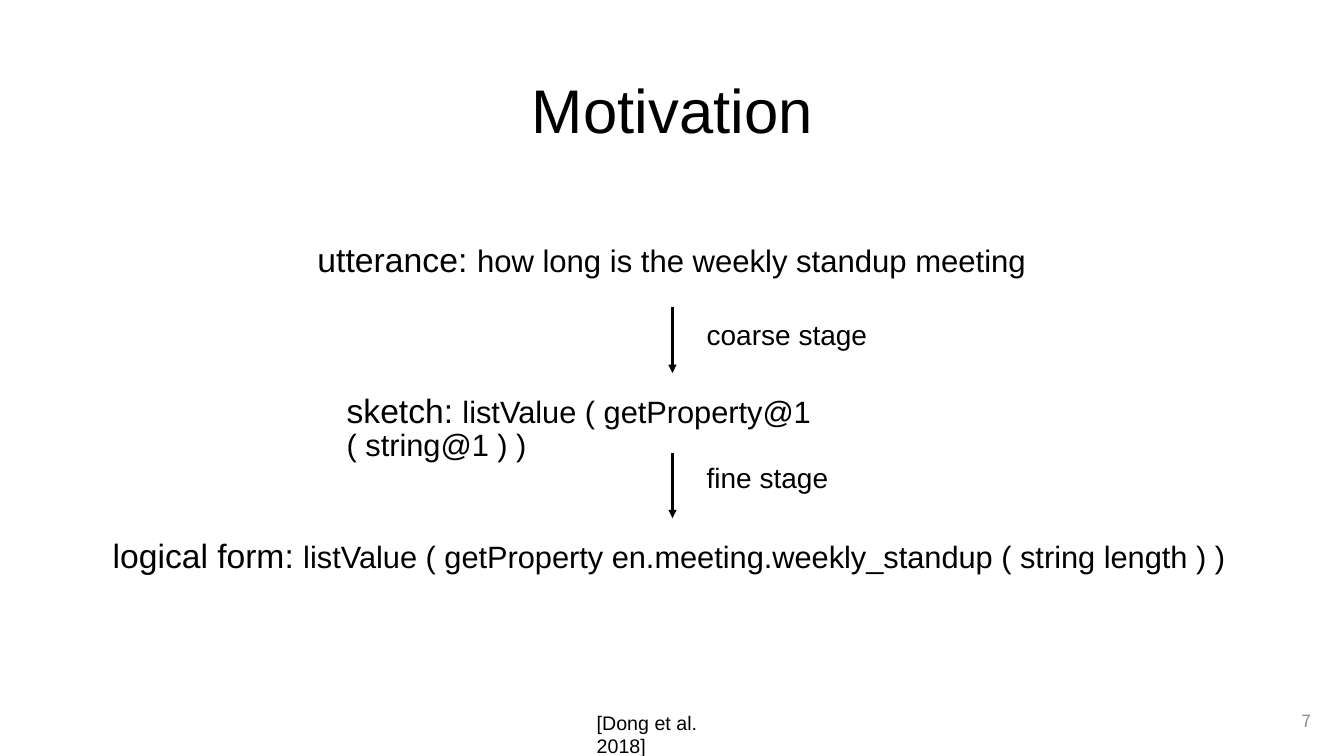
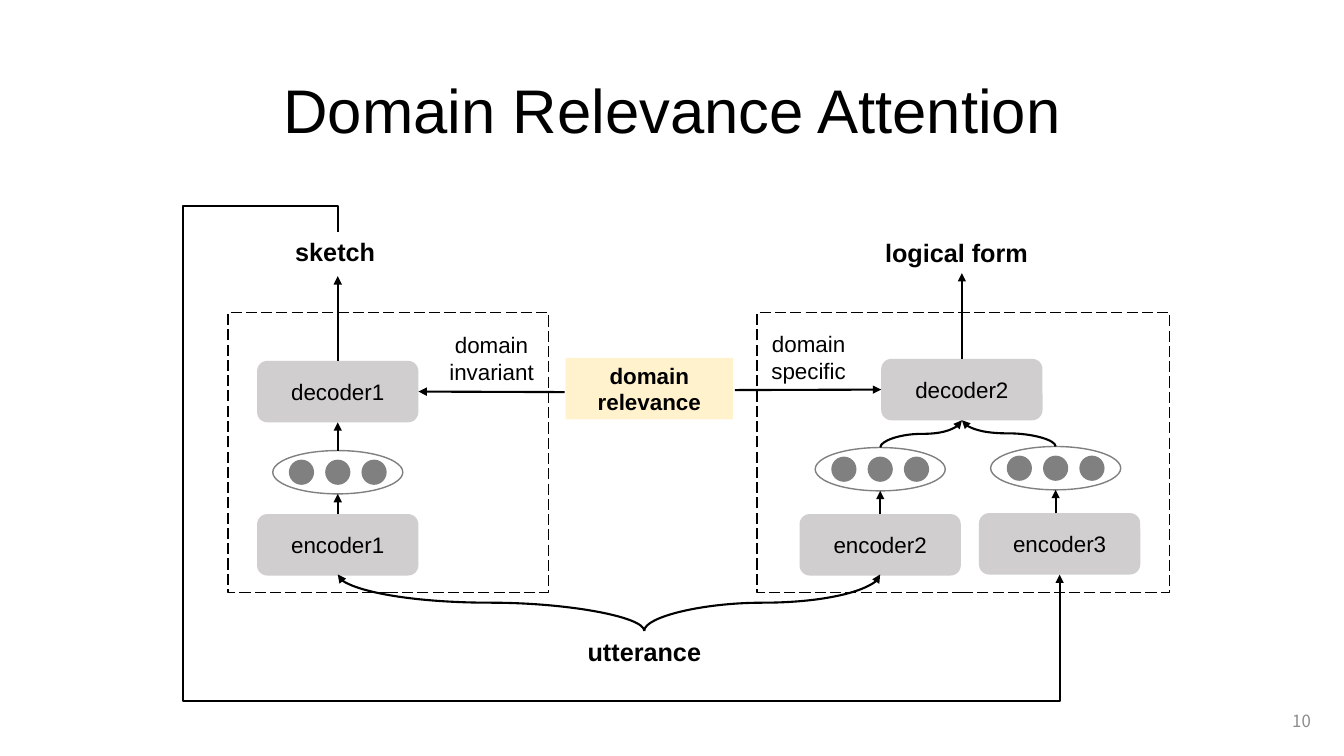
"""Builds two slides on coarse-to-fine semantic parsing."""
from dataclasses import dataclass

from lxml import etree
from pptx import Presentation
from pptx import util as u
from pptx.dml.color import RGBColor
from pptx.enum import dml, shapes, text
from pptx.oxml.ns import qn

PX = 9144


@dataclass(frozen=True)
class Theme:
    font: str = "Arial"
    number_font: str = "Noto Sans CJK SC"
    ink: str = "000000"
    muted: str = "8C8C8C"
    block: str = "D0CECE"
    state: str = "808080"
    accent: str = "FFF2CC"
    title: int = 44
    stage: int = 20
    label: int = 18
    body: int = 16
    cite: int = 14
    number: int = 12
    thick: float = 1.5
    thin: float = 1


T = Theme()
LEFT, CENTER, RIGHT = text.PP_ALIGN.LEFT, text.PP_ALIGN.CENTER, text.PP_ALIGN.RIGHT
TOP, MIDDLE = text.MSO_ANCHOR.TOP, text.MSO_ANCHOR.MIDDLE
RECT, ROUND, OVAL = (shapes.MSO_SHAPE.RECTANGLE, shapes.MSO_SHAPE.ROUNDED_RECTANGLE,
                     shapes.MSO_SHAPE.OVAL)
STRAIGHT, CURVE, ELBOW = (shapes.MSO_CONNECTOR.STRAIGHT, shapes.MSO_CONNECTOR.CURVE,
                          shapes.MSO_CONNECTOR.ELBOW)

STEPS = [
    ((305, 237, 724, 64), [("utterance: ", 24.1),
                           ("how long is the weekly standup meeting", 22.2)]),
    ((334, 386, 664, 63), [("sketch: ", 24),
                           ("listValue ( getProperty@1 ( string@1 ) )", 22)]),
    ((102, 530, 1130, 63), [("logical form: ", 24),
                            ("listValue ( getProperty en.meeting.weekly_standup ( string length ) )", 22)]),
]
STAGES = [("coarse stage", 305, 314), ("fine stage", 449, 456)]
STAGE_X, STAGE_LENGTH = 667, 65
CITATION = "[Dong et al. 2018]"

FRAMES = [(226, 310, 318, 278), (751, 310, 409, 278)]
BLOCK_W, BLOCK_H = 160, 61
STATE_W, STATE_H, DOT, DOT_STEP = 129, 43, 25, 36
DECODERS = [("decoder1", 335, 358, 274), ("decoder2", 954, 356, 271)]
ENCODERS = [("encoder1", 335, 510, 335, 447), ("encoder2", 873, 510, 873, 444),
            ("encoder3", 1051, 509, 1047, 443)]
LABELS = [("sketch", (283, 230, 104, 40)), ("utterance", (573, 626, 135, 40)),
          ("logical form", (868, 231, 170, 40))]
RELEVANCE = ("domain relevance", (561, 355, 166, 61))
ASPECTS = [("domain\ninvariant", (433, 324, 109, 64)),
           ("domain\nspecific", (751, 323, 102, 64))]
CURVES = [((639, 626), (335, 570)), ((639, 626), (873, 570)),
          ((873, 444), (954, 417)), ((1047, 443), (954, 417))]
FEEDBACK = dict(start=(335, 230), end=(1051, 570), top=205, left=182, bottom=695)


def rgb(value):
    return RGBColor.from_string(value)


def emu(*values):
    return [round(v * PX) for v in values]


def style(r, size, color=T.ink, font=T.font, bold=False):
    r.font.size, r.font.name, r.font.bold = u.Pt(size), font, bold
    r.font.color.rgb = rgb(color)


def write(sp, words, size, align=LEFT, anchor=TOP, **look):
    tf = sp.text_frame
    tf.word_wrap, tf.vertical_anchor = True, anchor
    tf.text = words
    for p in tf.paragraphs:
        p.alignment = align
        for r in p.runs:
            style(r, size, **look)
    return tf


def textbox(s, box, words, size, **look):
    return write(s.shapes.add_textbox(*emu(*box)), words, size, **look)


def body(s, box, pieces):
    tf = s.shapes.add_textbox(*emu(*box)).text_frame
    tf.word_wrap = True
    p = tf.paragraphs[0]
    p.line_spacing, p.space_before = 0.9, u.Pt(10)
    for words, size in pieces:
        r = p.add_run()
        r.text = words
        style(r, size)


def shape(s, kind, box, fill=None, line=None, dash=None):
    sp = s.shapes.add_shape(kind, *emu(*box))
    sp.shadow.inherit = False
    if fill:
        sp.fill.solid()
        sp.fill.fore_color.rgb = rgb(fill)
    else:
        sp.fill.background()
    if line:
        sp.line.color.rgb, sp.line.width = rgb(line), u.Pt(T.thin)
        if dash:
            sp.line.dash_style = dash
    else:
        sp.line.fill.background()
    return sp


def arrow(s, start, end, kind=STRAIGHT, begin=None, finish=None):
    cx = s.shapes.add_connector(kind, *emu(*start, *end))
    if begin:
        cx.begin_connect(*begin)
    if finish:
        cx.end_connect(*finish)
    cx.line.color.rgb, cx.line.width = rgb(T.ink), u.Pt(T.thick)
    pr = cx._element.spPr
    etree.SubElement(pr.find(qn("a:ln")), qn("a:tailEnd"), type="triangle")
    etree.SubElement(pr, qn("a:effectLst"))
    return cx


def turn(cx, start, end, degrees, flips):
    """Makes a connector leave and arrive vertically."""
    (x1, y1), (x2, y2) = start, end
    w, h = abs(y2 - y1), abs(x2 - x1)
    cx.left, cx.top, cx.width, cx.height = emu((x1 + x2 - w) / 2, (y1 + y2 - h) / 2, w, h)
    xfrm = cx._element.spPr.find(qn("a:xfrm"))
    xfrm.set("rot", str(degrees * 60000))
    for side in "HV":
        xfrm.set("flip" + side, str(int(side in flips)))


def curve(s, start, end):
    leftward = end[0] < start[0]
    turn(arrow(s, start, end, CURVE), start, end, *((270, "V") if leftward else (90, "HV")))


def feedback(s, start, end, top, left, bottom):
    cx = arrow(s, start, end, ELBOW)
    turn(cx, start, end, 270, "H")
    w, h = end[0] - start[0], end[1] - start[1]
    geom = cx._element.spPr.find(qn("a:prstGeom"))
    geom.set("prst", "bentConnector5")
    guides = geom.find(qn("a:avLst"))
    if guides is None:
        guides = etree.SubElement(geom, qn("a:avLst"))
    ratios = [(top - start[1]) / h, (left - start[0]) / w, (bottom - start[1]) / h]
    for i, ratio in enumerate(ratios, 1):
        etree.SubElement(guides, qn("a:gd"), name=f"adj{i}", fmla=f"val {round(ratio * 100000)}")


def new_slide(prs, title, number):
    s = prs.slides.add_slide(prs.slide_layouts[6])
    tf = textbox(s, (92, 40, 1150, 145), title, T.title, align=CENTER, anchor=MIDDLE)
    tf.paragraphs[0].line_spacing = 0.9
    textbox(s, (1010, 695, 300, 40), str(number), T.number, align=RIGHT, anchor=MIDDLE,
            color=T.muted, font=T.number_font)
    return s


def block(s, name, cx, top):
    sp = shape(s, ROUND, (cx - BLOCK_W / 2, top, BLOCK_W, BLOCK_H), fill=T.block)
    write(sp, name, T.body, align=CENTER, anchor=MIDDLE)
    return sp


def state(s, cx, top):
    shape(s, OVAL, (cx - STATE_W / 2, top, STATE_W, STATE_H), line=T.state)
    for i in (-1, 0, 1):
        shape(s, OVAL, (cx + i * DOT_STEP - DOT / 2, top + (STATE_H - DOT) / 2, DOT, DOT),
              fill=T.state)


def motivation(prs):
    s = new_slide(prs, "Motivation", 7)
    for box, pieces in STEPS:
        body(s, box, pieces)
    for name, top, label_top in STAGES:
        arrow(s, (STAGE_X, top), (STAGE_X, top + STAGE_LENGTH))
        body(s, (691, label_top, 185, 64), [(name, T.stage)])
    textbox(s, (582, 700, 170, 40), CITATION, T.cite)


def attention(prs):
    s = new_slide(prs, "Domain Relevance Attention", 10)
    for box in FRAMES:
        shape(s, RECT, box, line=T.ink, dash=dml.MSO_LINE.LONG_DASH)
    decoders = []
    for name, cx, top, tip in DECODERS:
        sp = block(s, name, cx, top)
        arrow(s, (cx, top), (cx, tip), begin=(sp, 0))
        decoders.append(sp)
    for name, cx, top, state_cx, state_top in ENCODERS:
        sp = block(s, name, cx, top)
        state(s, state_cx, state_top)
        arrow(s, (state_cx, top), (state_cx, state_top + STATE_H),
              begin=(sp, 0) if cx == state_cx else None)
    arrow(s, (335, 447), (335, 419), finish=(decoders[0], 2))
    for start, end in CURVES:
        curve(s, start, end)
    feedback(s, **FEEDBACK)
    for name, box in LABELS:
        textbox(s, box, name, T.label, bold=True)
    name, box = RELEVANCE
    write(shape(s, RECT, box, fill=T.accent), name, T.body, align=CENTER, anchor=MIDDLE, bold=True)
    for name, box in ASPECTS:
        textbox(s, box, name, T.body, align=CENTER)
    arrow(s, (560, 389), (415, 389), finish=(decoders[0], 3))
    arrow(s, (729, 387), (874, 387), finish=(decoders[1], 1))


def main():
    prs = Presentation()
    prs.slide_width, prs.slide_height = emu(1333, 750)
    motivation(prs)
    attention(prs)
    prs.save("out.pptx")


if __name__ == "__main__":
    main()
